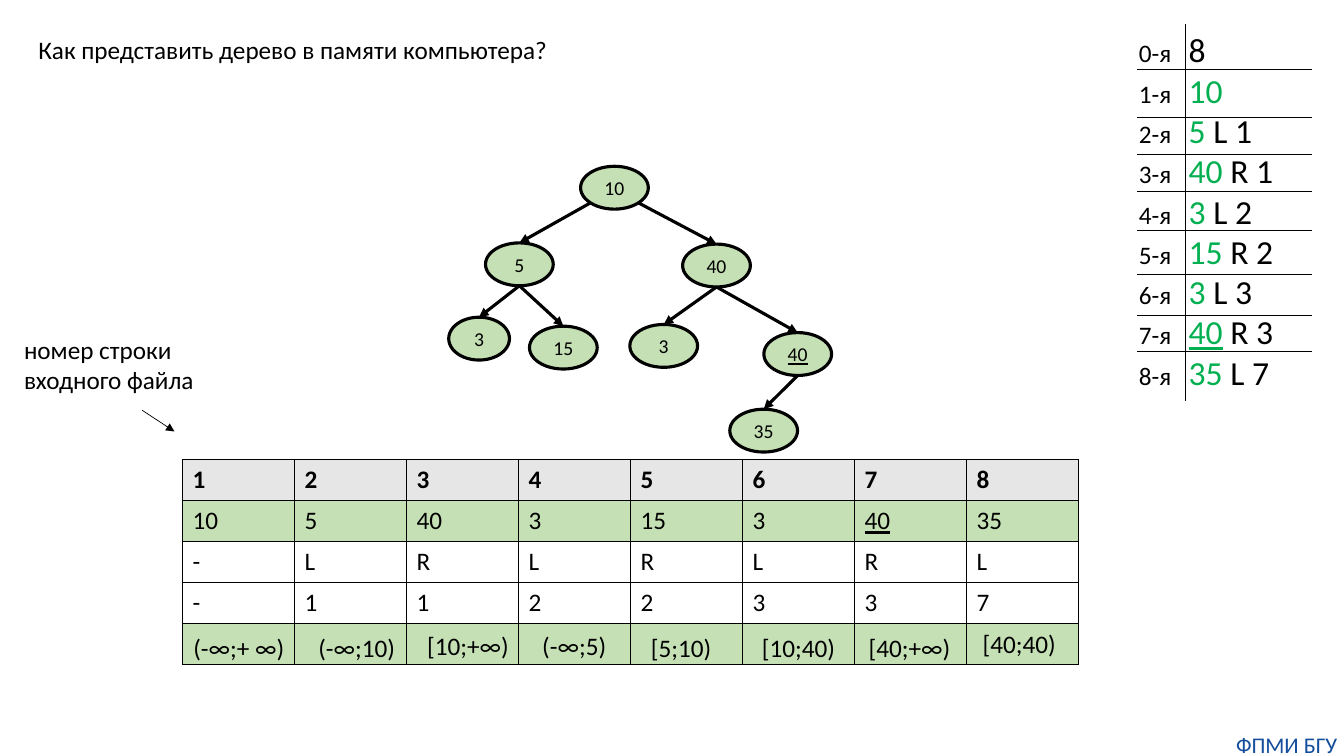
import pptx
import pptx.util
import pptx.dml.color
import pptx.enum.shapes
import pptx.enum.text
import pptx.oxml.ns
from lxml import etree

Pt = pptx.util.Pt
qn = pptx.oxml.ns.qn
ALIGN = pptx.enum.text.PP_ALIGN
ANCHOR = pptx.enum.text.MSO_ANCHOR
BLACK, GREEN, LEAF, GREY, BLUE = "000000", "00B050", "C5E0B4", "E7E6E6", "144E9D"


def set_font(font, size, color=BLACK):
    font.name = "Calibri"
    font.size = Pt(size)
    font.color.rgb = pptx.dml.color.RGBColor.from_string(color)


def add_line(start, end, weight, arrow=False):
    line = page.shapes.add_connector(
        pptx.enum.shapes.MSO_CONNECTOR.STRAIGHT, *[Pt(value) for value in (*start, *end)])
    line.line.width = Pt(weight)
    line.line.color.rgb = pptx.dml.color.RGBColor.from_string(BLACK)
    if arrow:
        etree.SubElement(line.line._get_or_add_ln(), qn("a:tailEnd"), type="triangle")
    etree.SubElement(line._element.spPr, qn("a:effectLst"))


deck = pptx.Presentation()
deck.slide_width, deck.slide_height = Pt(960), Pt(540)
page = deck.slides.add_slide(deck.slide_layouts[5])

# Title
title = page.shapes.title
title.left, title.top, title.width, title.height = Pt(20.2), Pt(20.9), Pt(382.3), Pt(28.8)
frame = title.text_frame
frame.text = "Как представить дерево в памяти компьютера?"
frame.word_wrap = False
frame.auto_size = pptx.enum.text.MSO_AUTO_SIZE.NONE
frame.vertical_anchor = ANCHOR.TOP
frame.paragraphs[0].alignment = ALIGN.LEFT
set_font(frame.paragraphs[0].font, 18)

# Tree nodes: label, left, top, width, index of the parent
NODE_WIDTH, NODE_HEIGHT = 48.4, 30.6
nodes = [
    ("10", 414.7, 118.8, NODE_WIDTH, None),
    ("5", 346.8, 173.5, NODE_WIDTH, 0),
    ("40", 487.6, 174.4, NODE_WIDTH, 0),
    ("3", 320.5, 226.6, 43.4, 1),
    ("15", 378.2, 233, NODE_WIDTH, 1),
    ("3", 449.9, 231.8, NODE_WIDTH, 2),
    ("40", 545.6, 237.6, NODE_WIDTH, 2),
    ("35", 521.3, 292.3, NODE_WIDTH, 6),
]
for index, (label, left, top, width, parent) in enumerate(nodes):
    node = page.shapes.add_shape(pptx.enum.shapes.MSO_SHAPE.OVAL,
                                 Pt(left), Pt(top), Pt(width), Pt(NODE_HEIGHT))
    node.shadow.inherit = False
    node.fill.solid()
    node.fill.fore_color.rgb = pptx.dml.color.RGBColor.from_string(LEAF)
    node.line.color.rgb = pptx.dml.color.RGBColor.from_string(BLACK)
    node.line.width = Pt(2.25)
    node.text_frame.text = label
    node.text_frame.vertical_anchor = ANCHOR.MIDDLE
    para = node.text_frame.paragraphs[0]
    para.alignment = ALIGN.CENTER
    set_font(para.font, 14)
    para.font.underline = index == 6

# Tree edges: the root's leave diagonally, the others from the bottom
for label, left, top, width, parent in nodes[1:]:
    end = (left + width / 2, top)
    parent_left, parent_top, parent_width = nodes[parent][1:4]
    start_x, drop = parent_left + parent_width / 2, NODE_HEIGHT
    if parent == 0:
        start_x += 0.35 * parent_width * (1 if end[0] > start_x else -1)
        drop *= 0.85
    add_line((start_x, parent_top + drop), end, 2.25, arrow=True)

# Table of the input file lines
rows = [
    ("1 2 3 4 5 6 7 8", GREY),
    ("10 5 40 3 15 3 40 35", LEAF),
    ("- L R L R L R L", None),
    ("- 1 1 2 2 3 3 7", None),
    ("", LEAF),
]
table = page.shapes.add_table(5, 8, Pt(130.4), Pt(328.4), Pt(640), Pt(146)).table
table.first_row = table.horz_banding = False
for row, (values, fill) in enumerate(rows):
    table.rows[row].height = Pt(29.2)
    values = values.split() or [""] * 8
    for column, value in enumerate(values):
        cell = table.cell(row, column)
        cell.text = value
        para = cell.text_frame.paragraphs[0]
        set_font(para.font, 18)
        para.font.bold = row == 0
        para.font.underline = (row, column) == (1, 6)
        properties = cell._tc.get_or_add_tcPr()
        for side in ("a:lnL", "a:lnR", "a:lnT", "a:lnB"):
            border = etree.SubElement(properties, qn(side), w=str(Pt(1)))
            paint = etree.SubElement(border, qn("a:solidFill"))
            etree.SubElement(paint, qn("a:srgbClr"), val=BLACK)
        if fill:
            cell.fill.solid()
            cell.fill.fore_color.rgb = pptx.dml.color.RGBColor.from_string(fill)
        else:
            cell.fill.background()

# Note and key intervals: text, left, top, width, height
labels = [
    ("номер строки\nвходного файла", 10.1, 235.4, 136.8, 51.1),
    ("(-∞;+ ∞)", 131, 447.8, 80.6, 28.8),
    ("(-∞;10)", 220.3, 447.8, 69.8, 28.8),
    ("[10;+∞)", 298.1, 446.4, 73.4, 28.8),
    ("(-∞;5)", 380.2, 446.4, 61.2, 28.8),
    ("[5;10)", 457.9, 447.8, 58.3, 28.8),
    ("[10;40)", 537.1, 447.8, 67.7, 28.8),
    ("[40;+∞)", 613.4, 447.8, 73.4, 28.8),
    ("[40;40)", 694.8, 445, 67.7, 28.8),
]
for text, *place in labels:
    box = page.shapes.add_textbox(*[Pt(value) for value in place])
    box.text_frame.word_wrap = False
    box.text_frame.text = text
    for para in box.text_frame.paragraphs:
        set_font(para.font, 18)
add_line((101.5, 293), (124.6, 308.2), 0.5, arrow=True)

# Input file listing: key and the rest of the line
entries = [("", "8"), ("10", ""), ("5", " L 1"), ("40", " R 1"), ("3", " L 2"),
           ("15", " R 2"), ("3", " L 3"), ("40", " R 3"), ("35", " L 7")]
box = page.shapes.add_textbox(Pt(806.4), Pt(17.3), Pt(130), Pt(269.3))
box.text_frame.word_wrap = True
for number, (key, rest) in enumerate(entries):
    para = box.text_frame.paragraphs[0] if number == 0 else box.text_frame.add_paragraph()
    tabs = etree.SubElement(para._p.get_or_add_pPr(), qn("a:tabLst"))
    etree.SubElement(tabs, qn("a:tab"), pos=str(Pt(35.6)), algn="l")
    for text, size, color in ((f"{number}-я\t", 18, BLACK), (key, 24, GREEN), (rest, 24, BLACK)):
        if text:
            span = para.add_run()
            span.text = text
            set_font(span.font, size, color)
            span.font.underline = number == 7 and text == key

# Listing rules
add_line((846.7, 17.3), (846.7, 286.6), 0.5)
for height in (49.7, 83.5, 110.2, 136.8, 164.9, 195.8, 225.4, 251.3):
    add_line((812.2, height), (937.4, height), 0.5)

# Footer
box = page.shapes.add_textbox(Pt(878.4), Pt(522), Pt(81.4), Pt(19.4))
frame = box.text_frame
frame.margin_left = frame.margin_right = frame.margin_top = frame.margin_bottom = 0
frame.word_wrap = True
frame.text = "ФПМИ БГУ"
frame.paragraphs[0].alignment = ALIGN.CENTER
set_font(frame.paragraphs[0].font, 16, BLUE)

deck.save("out.pptx")
